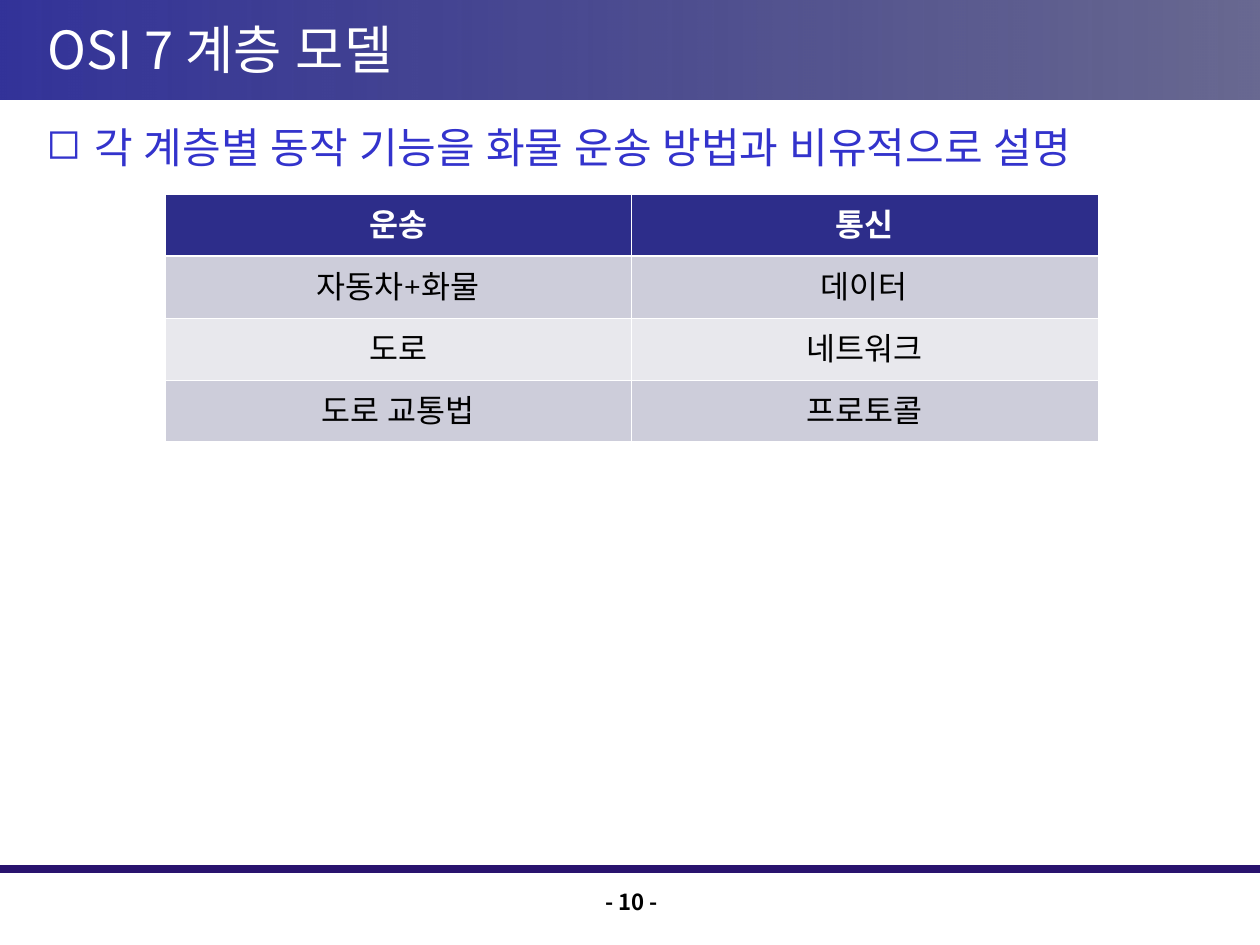
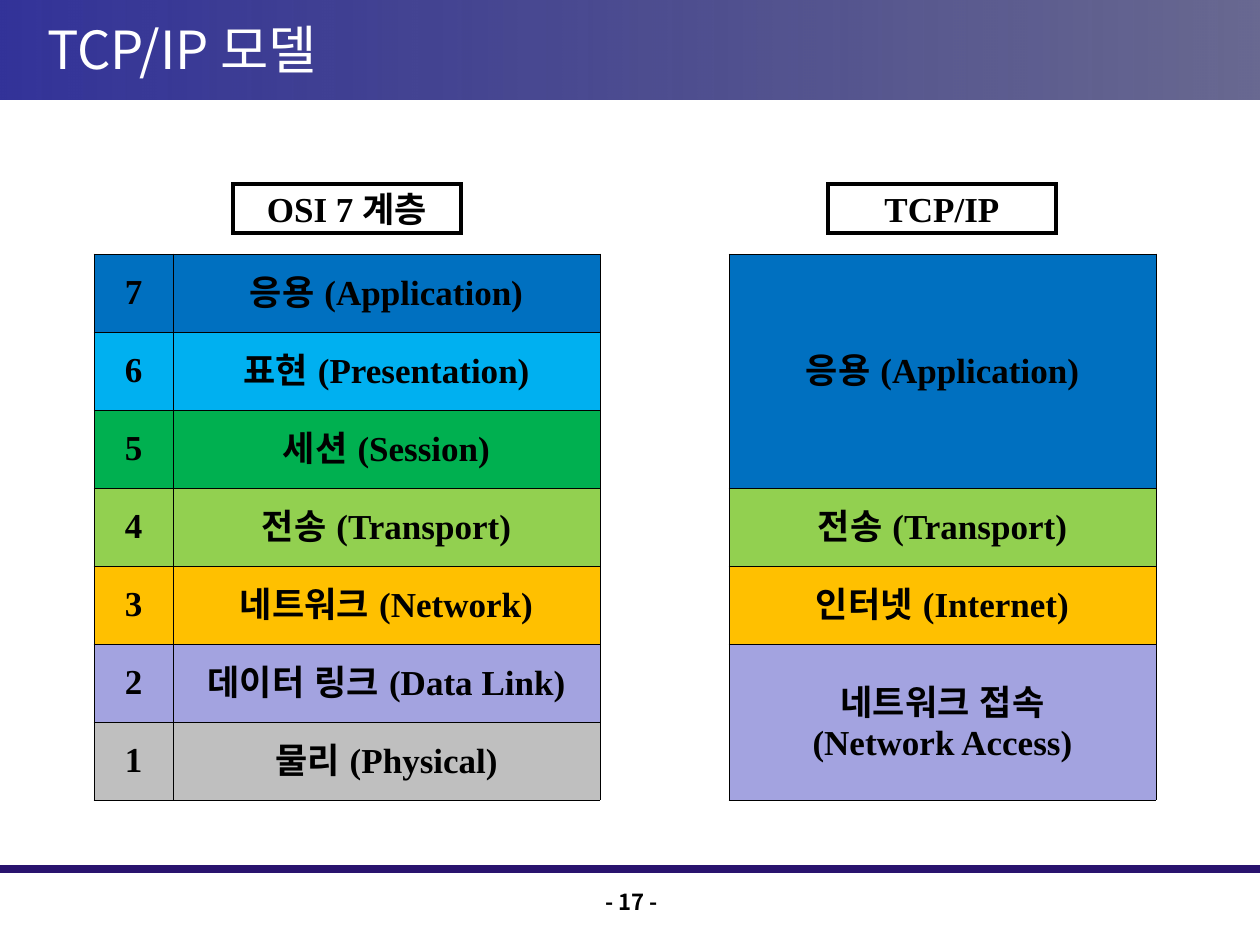
from dataclasses import dataclass

from lxml.etree import SubElement
from pptx import Presentation
from pptx.dml.color import RGBColor
from pptx.enum.shapes import MSO_CONNECTOR, MSO_SHAPE
from pptx.enum.text import MSO_ANCHOR, PP_ALIGN
from pptx.oxml.ns import qn
from pptx.util import Pt

SCALE = 914400 / 126


@dataclass(frozen=True)
class Type:
    """Holds the look of one kind of text."""
    font: str
    size: float
    color: str
    bold: bool = False
    align: PP_ALIGN = PP_ALIGN.CENTER
    bullet: str = ""


class Theme:
    """Holds the colours and type styles of the deck."""
    white, black, rule = "FFFFFF", "000000", "29136E"
    band = "333399", "1F1F5C"
    head, odd, even = "2D2D8A", "CDCDDA", "E8E8ED"
    blue, sky, green, lime = "0070C0", "00B0F0", "00B050", "92D050"
    gold, lilac, gray = "FFC000", "A3A3E0", "BFBFBF"
    asian = "Montserrat"
    title = Type("Noto Sans CJK KR", 30, white, align=PP_ALIGN.LEFT)
    point = Type("Times New Roman", 24, "3333CC", align=PP_ALIGN.LEFT, bullet="◻")
    page = Type("Noto Sans CJK KR", 12.6, black, True)
    top = Type("Montserrat", 18, white, True)
    cell = Type("Montserrat", 18, black)
    layer = Type("Times New Roman", 20, black, True)


def px(*sizes):
    """Turns px lengths into EMU."""
    return [round(size * SCALE) for size in sizes]


def rgb(code):
    """Turns a hex code into a colour."""
    return RGBColor.from_string(code)


def add_bullet(para, style):
    """Gives a paragraph a coloured bullet and a hanging indent."""
    props = para._p.get_or_add_pPr()
    indent, = px(48)
    props.set("marL", str(indent))
    props.set("indent", str(-indent))
    color = SubElement(props, qn("a:buClr"))
    SubElement(color, qn("a:srgbClr"), val=style.color)
    SubElement(props, qn("a:buChar"), char=style.bullet)


def write(frame, text, style):
    """Fills a text frame, one paragraph a line."""
    frame.text = text
    for para in frame.paragraphs:
        para.alignment = style.align
        if style.bullet:
            add_bullet(para, style)
        font = para.font
        font.name, font.size, font.bold = style.font, Pt(style.size), style.bold
        font.color.rgb = rgb(style.color)
        SubElement(para._p.pPr.find(qn("a:defRPr")), qn("a:ea"), typeface=Theme.asian)


def add_text(slide, box, text, style, anchor=MSO_ANCHOR.TOP):
    """Adds a wrapped text box and returns its frame."""
    frame = slide.shapes.add_textbox(*px(*box)).text_frame
    frame.word_wrap = True
    frame.vertical_anchor = anchor
    write(frame, text, style)
    return frame


def add_band(slide, box):
    """Draws the gradient band behind the title."""
    band = slide.shapes.add_shape(MSO_SHAPE.RECTANGLE, *px(*box))
    band.shadow.inherit = False
    band.line.fill.background()
    band.fill.gradient()
    band.fill.gradient_angle = 0
    for stop, code, place in zip(band.fill.gradient_stops, Theme.band, (0, 1)):
        stop.color.rgb = rgb(code)
        stop.position = place
    last = band.element.xpath(".//a:gs/a:srgbClr")[-1]
    SubElement(last, qn("a:alpha"), val="67000")


def add_rule(slide, left, top, width):
    """Draws the line above the page number."""
    ends = px(left, top, left + width, top)
    rule = slide.shapes.add_connector(MSO_CONNECTOR.STRAIGHT, *ends)
    rule.line.color.rgb = rgb(Theme.rule)
    rule.line.width = Pt(4.5)
    SubElement(rule.element.spPr, qn("a:effectLst"))


def add_page(deck, title, number):
    """Adds a slide with its title band and footer."""
    slide = deck.slides.add_slide(deck.slide_layouts[6])
    add_band(slide, (0, 0, 1260, 100))
    add_rule(slide, 0, 869, 1260)
    add_text(slide, (35, 4, 1191, 89), title, Theme.title, MSO_ANCHOR.MIDDLE)
    foot = add_text(slide, (485, 887, 293, 45), f"- {number} -", Theme.page)
    foot.paragraphs[0].line_spacing = 0.8
    return slide


def add_edge(cell, side, color, width):
    """Draws one border of a cell."""
    line = SubElement(cell._tc.get_or_add_tcPr(), qn(f"a:ln{side}"), w=str(Pt(width)))
    fill = SubElement(line, qn("a:solidFill"))
    SubElement(fill, qn("a:srgbClr"), val=color)


def add_grid(slide, left, top, cols, rows, edge, head=False):
    """Adds a table; each row is (height, fill, type, texts)."""
    box = px(left, top, sum(cols), sum(row[0] for row in rows))
    grid = slide.shapes.add_table(len(rows), len(cols), *box).table
    grid.first_row, grid.horz_banding = head, False
    for col, width in zip(grid.columns, px(*cols)):
        col.width = width
    for at, (high, fill, style, texts) in enumerate(rows):
        grid.rows[at].height, = px(high)
        for cell, text in zip(grid.rows[at].cells, texts):
            cell.vertical_anchor = MSO_ANCHOR.MIDDLE
            write(cell.text_frame, text, style)
            thick = {"B": 0, "T": 1}
            for side in "LRTB":
                wide = head and thick.get(side) == at
                add_edge(cell, side, edge, 1.47 if wide else 0.45)
            cell.fill.solid()
            cell.fill.fore_color.rgb = rgb(fill)


def add_stack(slide, left, top, name, cols, rows):
    """Adds a layer table with its name centred above."""
    wide, high = 228, 49
    box = left + (sum(cols) - wide) // 2, top - 70, wide, high
    label = slide.shapes.add_shape(MSO_SHAPE.RECTANGLE, *px(*box))
    label.shadow.inherit = False
    label.fill.background()
    label.line.color.rgb = rgb(Theme.black)
    label.line.width = Pt(2)
    SubElement(label.element.spPr.find(qn("a:ln")), qn("a:miter"), lim="800000")
    label.text_frame.vertical_anchor = MSO_ANCHOR.MIDDLE
    write(label.text_frame, name, Theme.layer)
    add_grid(slide, left, top, cols, rows, Theme.black)


def add_simile(deck):
    """Builds the slide likening transport to networks."""
    slide = add_page(deck, "OSI 7 계층 모델", 10)
    add_text(slide, (34, 115, 1191, 745),
             "각 계층별 동작 기능을 화물 운송 방법과 비유적으로 설명", Theme.point)
    rows = [
        (62, Theme.head, Theme.top, ("운송", "통신")),
        (62, Theme.odd, Theme.cell, ("자동차+화물", "데이터")),
        (62, Theme.even, Theme.cell, ("도로", "네트워크")),
        (62, Theme.odd, Theme.cell, ("도로 교통법", "프로토콜")),
    ]
    add_grid(slide, 165, 194, (466, 467), rows, Theme.white, head=True)


def add_models(deck):
    """Builds the slide setting the two layer models side by side."""
    slide = add_page(deck, "TCP/IP 모델", 17)
    unit, top, wide = 78, 254, 427
    layers = [
        ("응용 (Application)", Theme.blue),
        ("표현 (Presentation)", Theme.sky),
        ("세션 (Session)", Theme.green),
        ("전송 (Transport)", Theme.lime),
        ("네트워크 (Network)", Theme.gold),
        ("데이터 링크 (Data Link)", Theme.lilac),
        ("물리 (Physical)", Theme.gray),
    ]
    groups = [
        ("응용 (Application)", Theme.blue, 3),
        ("전송 (Transport)", Theme.lime, 1),
        ("인터넷 (Internet)", Theme.gold, 1),
        ("네트워크 접속\n(Network Access)", Theme.lilac, 2),
    ]
    osi = [(unit, fill, Theme.layer, (str(len(layers) - at), name))
           for at, (name, fill) in enumerate(layers)]
    tcp = [(unit * span, fill, Theme.layer, (name,)) for name, fill, span in groups]
    add_stack(slide, 94, top, "OSI 7 계층", (79, wide), osi)
    add_stack(slide, 729, top, "TCP/IP", (wide,), tcp)


def main():
    """Builds and saves the deck."""
    deck = Presentation()
    deck.slide_width, deck.slide_height = px(1260, 945)
    add_simile(deck)
    add_models(deck)
    deck.save("out.pptx")


if __name__ == "__main__":
    main()
